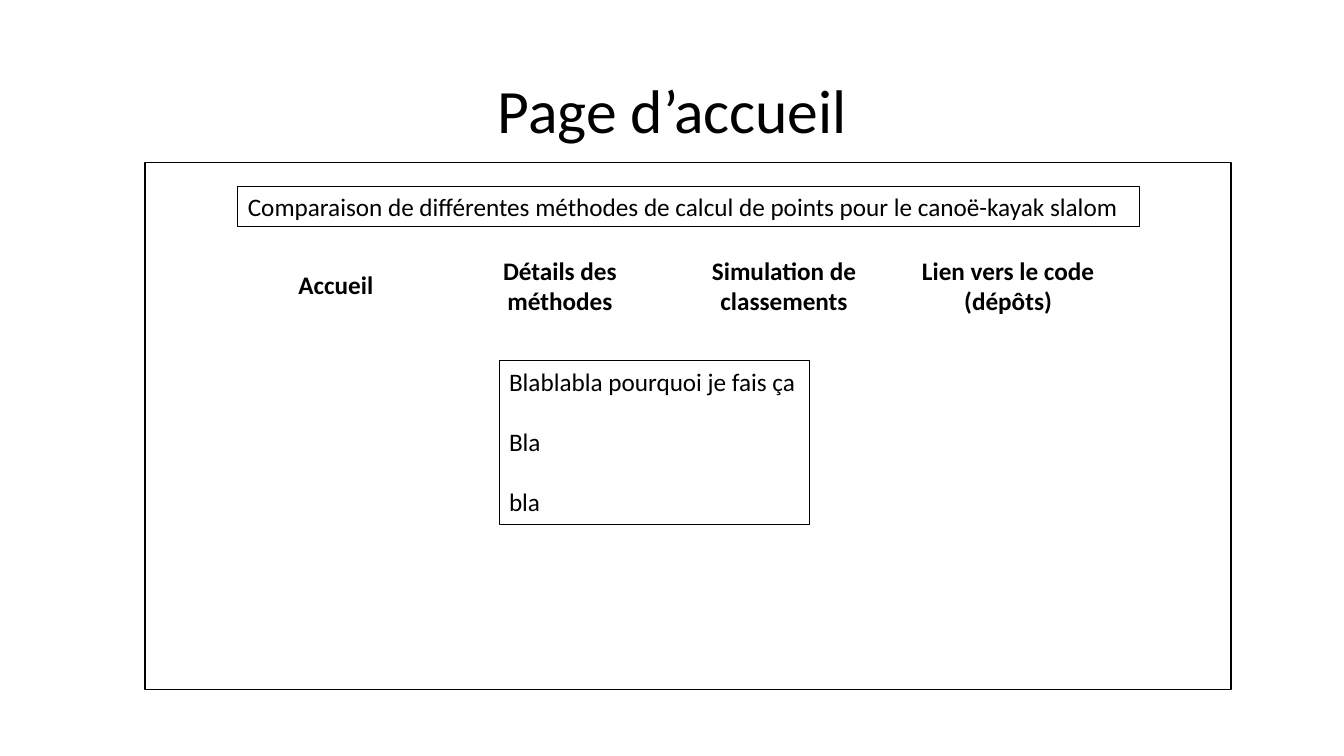
import pptx
import pptx.dml.color
import pptx.enum.shapes
import pptx.enum.text
import pptx.util

Inches, Pt = pptx.util.Inches, pptx.util.Pt
ALIGN = pptx.enum.text.PP_ALIGN
ANCHOR = pptx.enum.text.MSO_ANCHOR
BLACK = pptx.dml.color.RGBColor(0, 0, 0)


def apply(target, values):
    for name, value in values.items():
        setattr(target, name, value)


class Wireframe:
    font = {"name": "Calibri", "size": Pt(18), "bold": False}

    def __init__(self, prs):
        self.s = prs.slides.add_slide(prs.slide_layouts[5])

    def fill_text(self, tf, lines, para=None, **font):
        """Fill a text frame with one formatted paragraph per line."""
        tf.word_wrap = True
        for i, line in enumerate(lines):
            p = tf.paragraphs[0] if i == 0 else tf.add_paragraph()
            apply(p, para or {})
            r = p.add_run()
            r.text = line
            apply(r.font, {**self.font, **font})
            r.font.color.rgb = BLACK

    def outline(self, sp, width):
        sp.line.color.rgb = BLACK
        sp.line.width = Pt(width)

    def title(self, text, box):
        sp = self.s.shapes.title
        apply(sp, dict(zip(("left", "top", "width", "height"), map(Inches, box))))
        sp.text_frame.vertical_anchor = ANCHOR.MIDDLE
        para = {"alignment": ALIGN.CENTER, "line_spacing": 0.9}
        self.fill_text(sp.text_frame, [text], para, size=Pt(44))

    def frame(self, box):
        sp = self.s.shapes.add_shape(
            pptx.enum.shapes.MSO_SHAPE.RECTANGLE, *map(Inches, box))
        sp.shadow.inherit = False
        sp.fill.background()
        self.outline(sp, 1)

    def text_box(self, lines, box, gap=0):
        """Add an outlined text box with gap points between its lines."""
        sp = self.s.shapes.add_textbox(*map(Inches, box))
        self.outline(sp, 0.75)
        self.fill_text(sp.text_frame, lines, {"space_after": Pt(gap)})
        sp.text_frame.paragraphs[-1].space_after = Pt(0)

    def menu(self, labels, box):
        """Add a one-row table of bold, centred labels."""
        table = self.s.shapes.add_table(1, len(labels), *map(Inches, box)).table
        table.horz_banding = False
        for cell, label in zip(table.iter_cells(), labels):
            cell.fill.background()
            cell.vertical_anchor = ANCHOR.MIDDLE
            self.fill_text(cell.text_frame, [label], {"alignment": ALIGN.CENTER}, bold=True)


def main():
    prs = pptx.Presentation()
    prs.slide_width, prs.slide_height = Inches(13.33), Inches(7.5)
    page = Wireframe(prs)
    page.title("Page d’accueil", (0.92, 0.4, 11.5, 1.45))
    page.frame((1.44, 1.61, 10.77, 5.23))
    page.text_box(
        ["Comparaison de différentes méthodes de calcul de points pour le canoë-kayak slalom"],
        (2.36, 1.85, 8.94, 0.4))
    page.menu(
        ["Accueil", "Détails des méthodes", "Simulation de classements",
         "Lien vers le code (dépôts)"],
        (2.22, 2.49, 8.89, 0.7))
    page.text_box(["Blablabla pourquoi je fais ça", "Bla", "bla"],
                  (4.95, 3.58, 3.08, 1.62), gap=21.6)
    prs.save("out.pptx")


if __name__ == "__main__":
    main()
